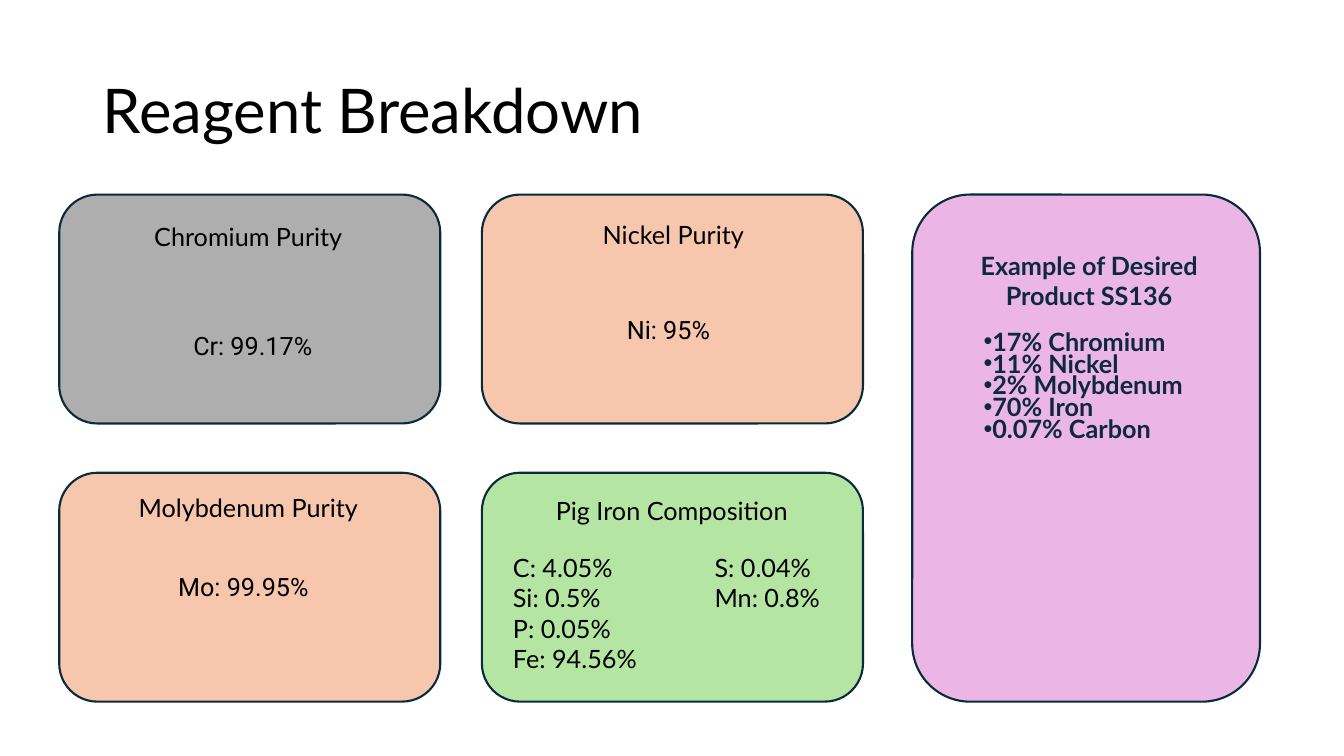
from lxml import etree
from pptx import Presentation
from pptx.dml.color import RGBColor
from pptx.enum.shapes import MSO_SHAPE
from pptx.enum.text import MSO_ANCHOR, PP_ALIGN
from pptx.oxml.ns import qn
from pptx.util import Pt

ROUNDED = MSO_SHAPE.ROUNDED_RECTANGLE
LEFT, CENTER = PP_ALIGN.LEFT, PP_ALIGN.CENTER
MIDDLE = MSO_ANCHOR.MIDDLE

BLACK = RGBColor(0x00, 0x00, 0x00)
NAVY = RGBColor(0x0E, 0x28, 0x41)
OUTLINE = RGBColor(0x09, 0x2A, 0x39)
GREY = RGBColor(0xAE, 0xAE, 0xAE)
PEACH = RGBColor(0xF6, 0xC6, 0xAD)
GREEN = RGBColor(0xB4, 0xE5, 0xA2)
PINK = RGBColor(0xE5, 0x9E, 0xDD)

TITLE = "Reagent Breakdown"
PURITIES = [
    {"heading": "Chromium Purity", "heading_at": (60, 154.8, 234.7), "fill": GREY, "cell": (0, 0),
     "value": "Cr: 99.17%", "value_at": (131, 232.6, 117), "align": LEFT},
    {"heading": "Nickel Purity", "heading_at": (363.6, 153.4, 234.7), "fill": PEACH, "cell": (1, 0),
     "value": "Ni: 95%", "value_at": (376.7, 221, 201.6), "align": CENTER},
    {"heading": "Molybdenum Purity", "heading_at": (60, 347.8, 234.7), "fill": PEACH, "cell": (0, 1),
     "value": "Mo: 99.95%", "value_at": (120.2, 404.6, 117), "align": LEFT},
]
PIG_IRON_HEADING = "Pig Iron Composition"
PIG_IRON = ["C: 4.05%\tS: 0.04%", "Si: 0.5%\tMn: 0.8%", "P: 0.05%", "Fe: 94.56%"]
PRODUCT_HEADING = "Example of Desired Product SS136"
PRODUCT = ["17% Chromium", "11% Nickel", "2% Molybdenum", "70% Iron", "0.07% Carbon"]

CARD_LEFT, CARD_TOP = 42.3, 139
CARD_WIDTH, CARD_HEIGHT = 272.2, 163.5
COLUMN_STEP, ROW_STEP = 301.9, 198.7
LINE_HEIGHT = 28.8

deck = Presentation()
deck.slide_width, deck.slide_height = Pt(960), Pt(540)
slide = deck.slides.add_slide(deck.slide_layouts[5])


def add_card(left, top, width, height, color):
    card = slide.shapes.add_shape(ROUNDED, Pt(left), Pt(top), Pt(width), Pt(height))
    card.shadow.inherit = False
    card.fill.solid()
    card.fill.fore_color.rgb = color
    card.line.color.rgb = OUTLINE
    card.line.width = Pt(1.5)
    return card


def add_grid_card(cell, color):
    column, row = cell
    add_card(CARD_LEFT + column * COLUMN_STEP, CARD_TOP + row * ROW_STEP,
             CARD_WIDTH, CARD_HEIGHT, color)


def write(paragraph, text, size=18, font="Lato", color=BLACK, bold=False, align=LEFT):
    paragraph.alignment = align
    run = paragraph.add_run()
    run.text = text
    run.font.size = Pt(size)
    run.font.name = font
    run.font.color.rgb = color
    run.font.bold = bold


def add_text(lines, left, top, width, height=LINE_HEIGHT, **style):
    box = slide.shapes.add_textbox(Pt(left), Pt(top), Pt(width), Pt(height))
    frame = box.text_frame
    frame.word_wrap = True
    for index, line in enumerate(lines):
        paragraph = frame.add_paragraph() if index else frame.paragraphs[0]
        write(paragraph, line, **style)
    return frame.paragraphs


title = slide.shapes.title
title.left, title.top, title.width, title.height = Pt(66), Pt(28.8), Pt(828), Pt(104.4)
title.text_frame.vertical_anchor = MIDDLE
title.text_frame.word_wrap = True
title_line = title.text_frame.paragraphs[0]
title_line.line_spacing = 0.9
write(title_line, TITLE, size=44)

product_card = add_card(651.6, CARD_TOP, 248.4, 362.2, PINK)
product_color = product_card.fill._xPr.find(qn("a:solidFill"))[0]
etree.SubElement(product_color, qn("a:alpha"), val="75000")
add_text([PRODUCT_HEADING], 663.1, 175, 229.7, 51, color=NAVY, bold=True, align=CENTER)
for share in add_text(PRODUCT, 695.5, 235.4, 165.6, 89.3, color=NAVY, bold=True):
    properties = share._p.get_or_add_pPr()
    properties.set("marL", "0")
    properties.set("indent", "0")
    etree.SubElement(properties, qn("a:buFont"), typeface="Arial")
    etree.SubElement(properties, qn("a:buChar"), char="•")
    share.line_spacing = Pt(15.6)

for purity in PURITIES:
    add_grid_card(purity["cell"], purity["fill"])
    add_text([purity["heading"]], *purity["heading_at"], align=CENTER)
    add_text([purity["value"]], *purity["value_at"], font="Roboto", align=purity["align"])

add_grid_card((1, 1), GREEN)
add_text([PIG_IRON_HEADING], 363.6, 350.6, 232.6, align=CENTER)
for element in add_text(PIG_IRON, 359.3, 391, 245.5, 94.3):
    tabs = etree.SubElement(element._p.get_or_add_pPr(), qn("a:tabLst"))
    etree.SubElement(tabs, qn("a:tab"), pos=str(Pt(144)), algn="l")

deck.save("out.pptx")
